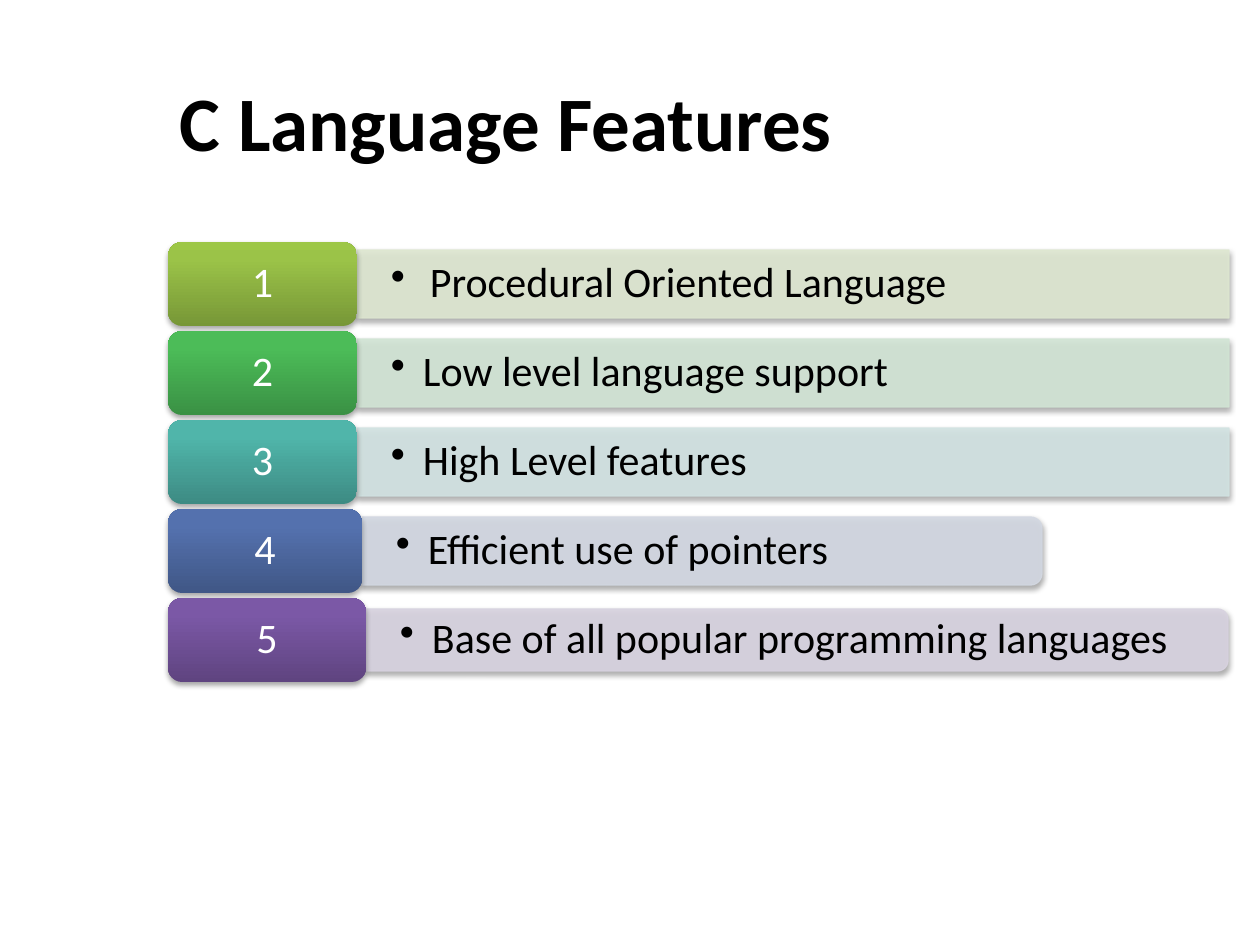
from lxml import etree
from pptx import Presentation
from pptx.dml.color import RGBColor
from pptx.enum.shapes import MSO_SHAPE
from pptx.enum.text import MSO_ANCHOR, PP_ALIGN
from pptx.oxml.ns import qn
from pptx.util import Emu, Pt

RECT, ROUND_END = MSO_SHAPE.RECTANGLE, MSO_SHAPE.ROUND_2_SAME_RECTANGLE
TAB = MSO_SHAPE.ROUNDED_RECTANGLE
LEFT, CENTER, MIDDLE = PP_ALIGN.LEFT, PP_ALIGN.CENTER, MSO_ANCHOR.MIDDLE

# Content: text, bar shape, tab width, bar width, bar height,
# text indent, bar colour, tab gradient (bottom to top)
TITLE = "C Language Features"
FEATURES = [
    ("Procedural Oriented Language", RECT, 189, 872, 68, 39,
     "DEE7D1", ("779737", "9BC348", "9DC746")),
    ("Low level language support", RECT, 189, 872, 68, 32,
     "D2E5D5", ("3A9144", "4CBC58", "4ABF57")),
    ("High Level features", RECT, 189, 872, 68, 32,
     "D2E3E2", ("3D8B83", "50B5AA", "4EB8AC")),
    ("Efficient use of pointers", ROUND_END, 194, 680, 68, 32,
     "D3D8E2", ("405786", "5471AE", "5271B0")),
    ("Base of all popular programming languages", ROUND_END, 198, 862, 62, 32,
     "D8D3E0", ("5F4480", "7B58A6", "7C57A8")),
]
GRADIENT_STOPS = (0, 80, 100)
X, Y, TAB_H, PITCH = 168, 242, 84, 89
FONT = "Calibri"


def px(n):
    return Emu(round(n * 914400 / 126))


def rgb(c):
    return RGBColor.from_string(c)


def add_color(parent, c, alpha=None):
    clr = etree.SubElement(parent, qn("a:srgbClr"), val=c)
    if alpha is not None:
        etree.SubElement(clr, qn("a:alpha"), val=str(alpha * 1000))


def add_shadow(sp):
    sp.shadow.inherit = False
    effects = sp._element.spPr.find(qn("a:effectLst"))
    shadow = etree.SubElement(effects, qn("a:outerShdw"), blurRad="40000",
                              dist="23000", dir="5400000", rotWithShape="0")
    add_color(shadow, "000000", 35)


def add_text(sp, text, size=24, color="000000", bold=False, align=LEFT,
             spacing=0.9, inset=(12, 6), indent=0):
    tf = sp.text_frame
    tf.word_wrap = True
    tf.vertical_anchor = MIDDLE
    tf.margin_left = tf.margin_right = px(inset[0])
    tf.margin_top = tf.margin_bottom = px(inset[1])
    p = tf.paragraphs[0]
    p.alignment, p.line_spacing = align, spacing
    if indent:
        pPr = p._p.get_or_add_pPr()
        pPr.set("marL", str(px(indent)))
        pPr.set("indent", str(-px(indent)))
        etree.SubElement(pPr, qn("a:buChar"), char="•")
    r = p.add_run()
    r.text = text
    r.font.name, r.font.size, r.font.bold = FONT, Pt(size), bold
    r.font.color.rgb = rgb(color)


def add_bar(s, kind, x, y, w, h, color):
    # A quarter turn puts the rounded corners on the right
    sp = s.shapes.add_shape(kind, px(x + (w - h) / 2), px(y + (h - w) / 2),
                            px(h), px(w))
    sp.rotation = 90
    sp.line.width = Pt(0.75)
    for fill in (sp.fill, sp.line.fill):
        fill.solid()
        fill.fore_color.rgb = rgb(color)
    for clr in sp._element.spPr.iter(qn("a:srgbClr")):
        etree.SubElement(clr, qn("a:alpha"), val="90000")
    add_shadow(sp)


def add_tab(s, x, y, w, h, colors):
    sp = s.shapes.add_shape(TAB, px(x), px(y), px(w), px(h))
    sp.fill.gradient()
    sp.fill.gradient_angle = 90
    stops = sp._element.spPr.find(".//" + qn("a:gsLst"))
    for old in list(stops):
        stops.remove(old)
    for pos, c in zip(GRADIENT_STOPS, colors):
        add_color(etree.SubElement(stops, qn("a:gs"), pos=str(pos * 1000)), c)
    sp.line.fill.background()
    add_shadow(sp)
    return sp


def main():
    prs = Presentation()
    prs.slide_width, prs.slide_height = px(1260), px(945)
    s = prs.slides.add_slide(prs.slide_layouts[6])

    # Title
    title = s.shapes.add_textbox(px(X), px(42), px(1061), px(157))
    add_text(title, TITLE, size=44, bold=True, spacing=1.0)

    # Feature rows: bar, its text, numbered tab
    for i, (text, kind, tab_w, w, h, indent, color, grad) in enumerate(FEATURES):
        y = Y + i * PITCH
        bar_x, bar_y = X + tab_w, y + (TAB_H - h) / 2
        add_bar(s, kind, bar_x, bar_y, w, h, color)
        label = s.shapes.add_textbox(px(bar_x), px(bar_y), px(w), px(h))
        add_text(label, text, inset=(34, 18), indent=indent)
        tab = add_tab(s, X, y, tab_w, TAB_H, grad)
        add_text(tab, str(i + 1), color="FFFFFF", align=CENTER)

    prs.save("out.pptx")


if __name__ == "__main__":
    main()
